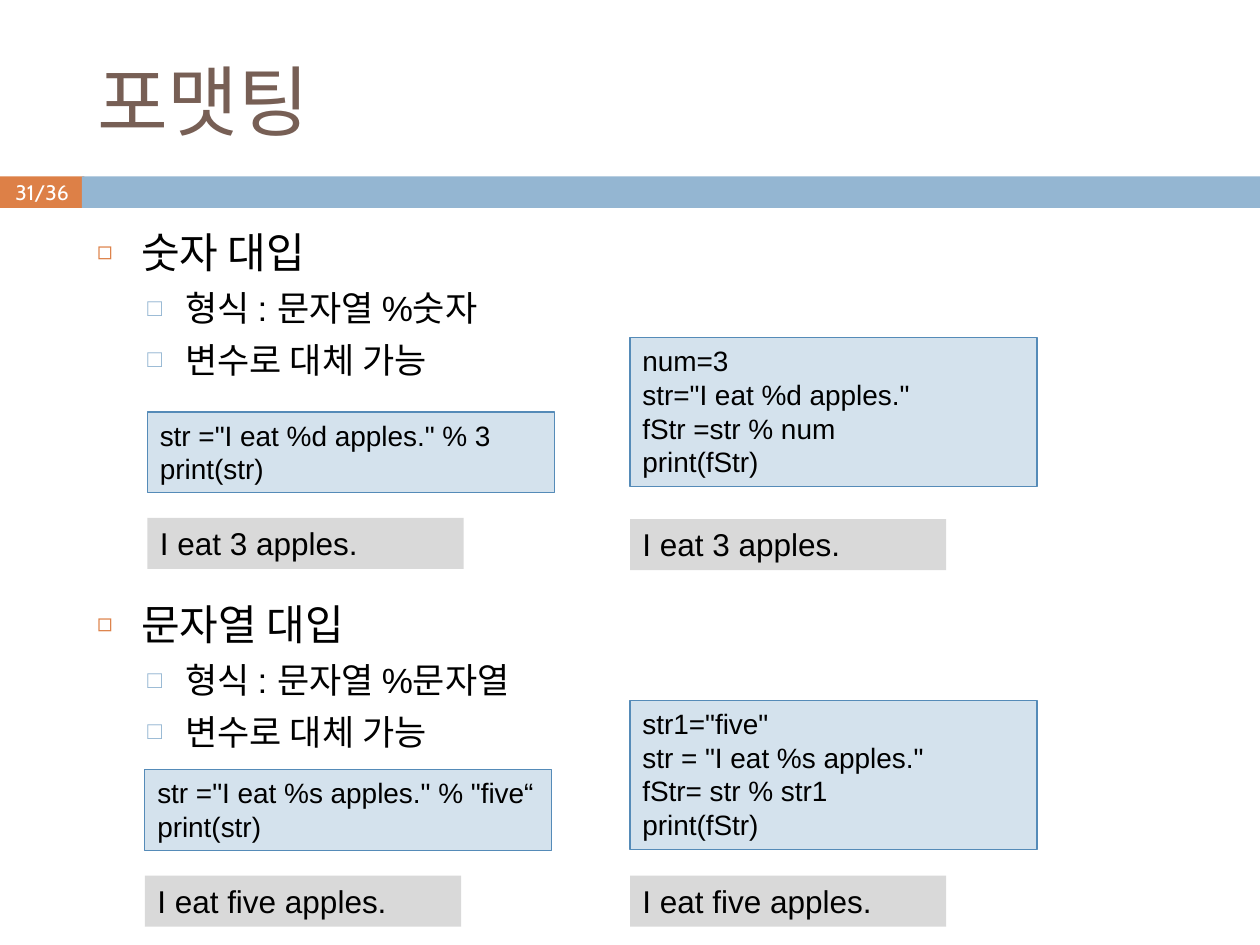
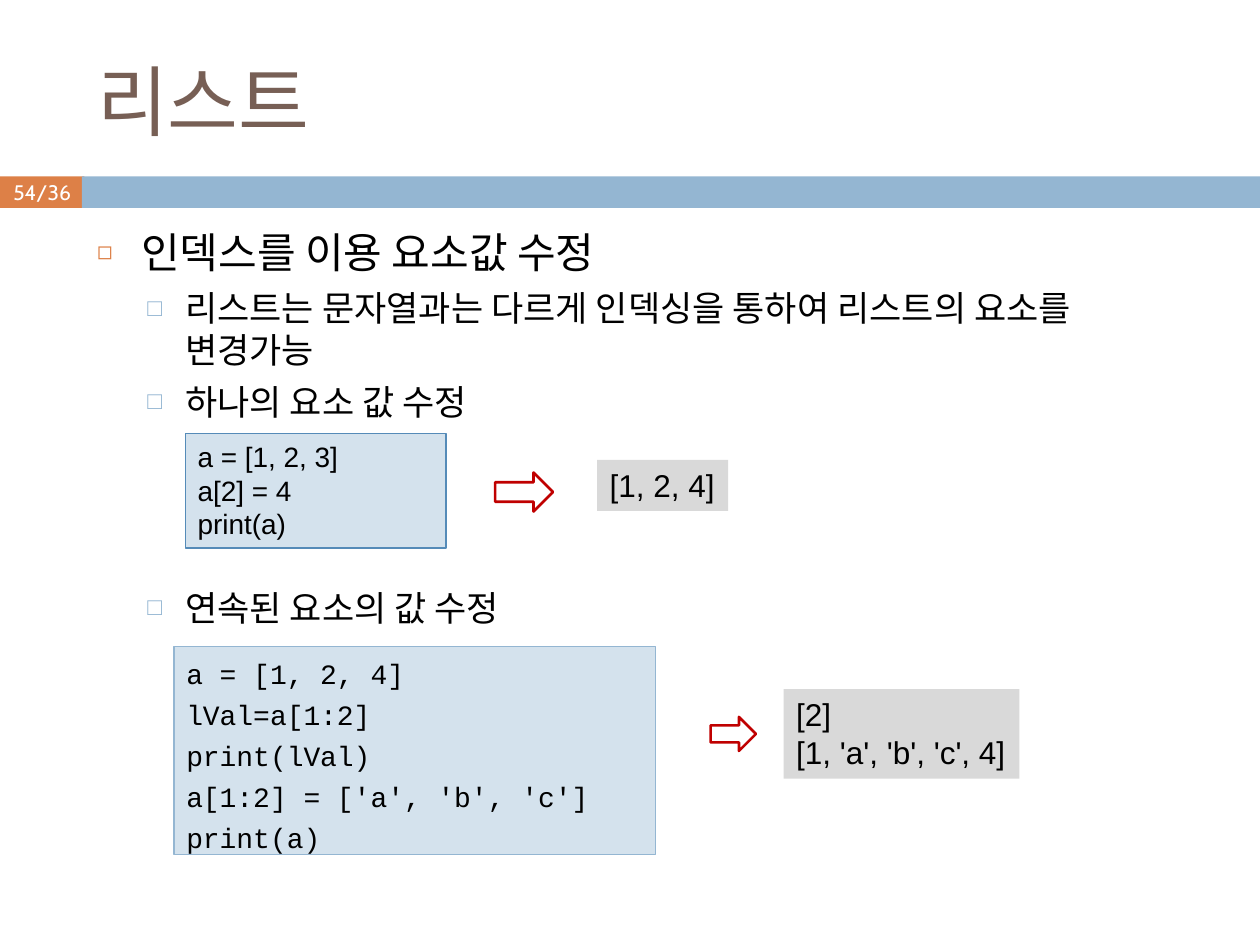
from dataclasses import dataclass
from lxml import etree
from pptx import Presentation
from pptx.dml.color import RGBColor
from pptx.enum import shapes as kinds, text as txt
from pptx.oxml.ns import qn
from pptx.util import Inches, Pt


@dataclass(frozen=True)
class Theme:
    brown: str = "775F55"
    orange: str = "DD8047"
    blue: str = "94B6D2"
    pale: str = "D4E2ED"
    edge: str = "558BB8"
    gray: str = "D9D9D9"
    red: str = "C00000"
    black: str = "000000"
    white: str = "FFFFFF"
    head: str = "Cabin"
    body: str = "Arial"
    mono: str = "Courier New"
    title: int = 44
    code: int = 16
    result: int = 18
    page: int = 12


T = Theme()
# Per list level: size, left indent, hanging indent, space before, bullet, colour, bullet percent
LEVELS = [
    (24, 0.35, 0.35, 7, "◻", T.orange, 60),
    (20, 0.7, 0.3, 5.5, "□", T.blue, 70),
]
SKIP = 29.4  # height of one skipped list line, in points


def rgb(code):
    return RGBColor.from_string(code)


def place(shape, box):
    shape.left, shape.top, shape.width, shape.height = map(Inches, box)


def style(para, size, color, font):
    for run in para.runs:
        run.font.size = Pt(size)
        run.font.name = font
        run.font.color.rgb = rgb(color)


def panel(shapes, box, fill=None, line=None, width=0.75, kind="RECTANGLE"):
    shape = shapes.add_shape(kinds.MSO_SHAPE[kind], *map(Inches, box))
    shape.shadow.inherit = False
    if fill:
        shape.fill.solid()
        shape.fill.fore_color.rgb = rgb(fill)
    else:
        shape.fill.background()
    if line:
        shape.line.color.rgb = rgb(line)
        shape.line.width = Pt(width)
    else:
        shape.line.fill.background()
    return shape


def write(shape, lines, size, font=T.body, gap=0):
    frame = shape.text_frame
    frame.word_wrap = True
    frame.vertical_anchor = txt.MSO_ANCHOR.TOP
    frame.text = "\n".join(lines)
    for i, para in enumerate(frame.paragraphs):
        para.alignment = txt.PP_ALIGN.LEFT
        para.space_before = Pt(gap if i else 0)
        style(para, size, T.black, font)


def code(shapes, x, y, wide, lines):
    shape = panel(shapes, (x, y, wide, 0.1 + 0.27 * len(lines)), T.pale, T.edge)
    write(shape, lines, T.code)


def result(shapes, x, y, wide, lines):
    shape = panel(shapes, (x, y, wide, 0.1 + 0.305 * len(lines)), T.gray)
    write(shape, lines, T.result)
    shape.text_frame.word_wrap = False


def arrow(shapes, box):
    panel(shapes, box, line=T.red, width=1.5, kind="RIGHT_ARROW")


def sample(shapes, x, y, drop, lines, output):
    """Code with its output placed below it."""
    code(shapes, x, y, 3.23, lines)
    result(shapes, x, y + drop, 2.51, [output])


def bands(shapes, top, page):
    tag = panel(shapes, (0, top, 0.67, 0.25), T.orange)
    panel(shapes, (0.65, top, 9.35, 0.25), T.blue)
    frame = tag.text_frame
    frame.margin_left = frame.margin_right = 0
    frame.margin_top = frame.margin_bottom = 0
    frame.word_wrap = False
    frame.vertical_anchor = txt.MSO_ANCHOR.MIDDLE
    frame.text = page
    frame.paragraphs[0].alignment = txt.PP_ALIGN.CENTER
    style(frame.paragraphs[0], T.page, T.white, T.head)


def bullet(para, char, color, scale):
    props = para._p.get_or_add_pPr()
    tint = etree.SubElement(props, qn("a:buClr"))
    etree.SubElement(tint, qn("a:srgbClr"), val=color)
    etree.SubElement(props, qn("a:buSzPct"), val=str(scale * 1000))
    etree.SubElement(props, qn("a:buChar"), char=char)


def outline(holder, items):
    """Fill the body with (level, skipped lines, text) items."""
    frame = holder.text_frame
    frame.auto_size = txt.MSO_AUTO_SIZE.NONE
    frame.vertical_anchor = txt.MSO_ANCHOR.TOP
    frame.text = "\n".join(item[2] for item in items)
    for i, (para, (level, skip, _)) in enumerate(zip(frame.paragraphs, items)):
        size, left, hang, gap, char, color, scale = LEVELS[level]
        para.level = level
        bullet(para, char, color, scale)
        props = para._p.get_or_add_pPr()
        props.set("marL", str(Inches(left)))
        props.set("indent", str(-Inches(hang)))
        para.space_before = Pt(gap + skip * SKIP if i else 0)
        style(para, size, T.black, T.body)


def base(deck, title, page, items):
    slide = deck.slides.add_slide(deck.slide_layouts[1])
    bands(slide.shapes, 1.4, page)
    head, body = slide.shapes.title, slide.placeholders[1]
    place(head, (0.67, 0.25, 8.92, 1.08))
    place(body, (0.67, 1.75, 8.92, 5.47))
    frame = head.text_frame
    frame.text = title
    frame.vertical_anchor = txt.MSO_ANCHOR.MIDDLE
    frame.paragraphs[0].alignment = txt.PP_ALIGN.LEFT
    style(frame.paragraphs[0], T.title, T.brown, T.head)
    outline(body, items)
    return slide.shapes


def formats(deck):
    shapes = base(deck, "포맷팅", "31/36", [
        (0, 0, "숫자 대입"),
        (1, 0, "형식 : 문자열 %숫자"),
        (1, 0, "변수로 대체 가능"),
        (0, 4, "문자열 대입"),
        (1, 0, "형식 : 문자열 %문자열"),
        (1, 0, "변수로 대체 가능"),
    ])
    three, five = "I eat 3 apples.", "I eat five apples."
    sample(shapes, 1.17, 3.27, 0.84,
           ['str ="I eat %d apples." % 3', "print(str)"], three)
    sample(shapes, 1.15, 6.11, 0.84,
           ['str ="I eat %s apples." % "five“', "print(str)"], five)
    sample(shapes, 5, 2.68, 1.44,
           ["num=3", 'str="I eat %d apples."', "fStr =str % num", "print(fStr)"], three)
    sample(shapes, 5, 5.56, 1.39,
           ['str1="five"', 'str = "I eat %s apples."', "fStr= str % str1", "print(fStr)"], five)


def single(shapes, x, y):
    """Change of one element: code, arrow, output."""
    code(shapes, x, y, 2.07, ["a = [1, 2, 3]", "a[2] = 4", "print(a)"])
    result(shapes, x + 3.27, y + 0.21, 1.04, ["[1, 2, 4]"])
    arrow(shapes, (x + 2.46, y + 0.31, 0.46, 0.31))


def span(shapes, x, y):
    """Change of a slice: code, arrow, output."""
    block = panel(shapes, (x, y, 3.82, 1.65), T.pale, T.blue)
    write(block, ["a = [1, 2, 4]", "lVal=a[1:2]", "print(lVal)",
                  "a[1:2] = ['a', 'b', 'c']", "print(a)"], T.code, T.mono, 4.2)
    block.text_frame.margin_top = Inches(0.08)
    result(shapes, x + 4.84, y + 0.34, 1.87, ["[2]", "[1, 'a', 'b', 'c', 4]"])
    arrow(shapes, (x + 4.26, y + 0.56, 0.36, 0.27))


def lists(deck):
    shapes = base(deck, "리스트", "54/36", [
        (0, 0, "인덱스를 이용 요소값 수정"),
        (1, 0, "리스트는 문자열과는 다르게 인덱싱을 통하여 리스트의 요소를 변경가능"),
        (1, 0, "하나의 요소 값 수정"),
        (1, 3, "연속된 요소의 값 수정"),
    ])
    single(shapes.add_group_shape().shapes, 1.47, 3.44)
    span(shapes.add_group_shape().shapes, 1.38, 5.13)


def main():
    deck = Presentation()
    deck.slide_width, deck.slide_height = Inches(10), Inches(7.5)
    formats(deck)
    lists(deck)
    deck.save("out.pptx")


if __name__ == "__main__":
    main()
